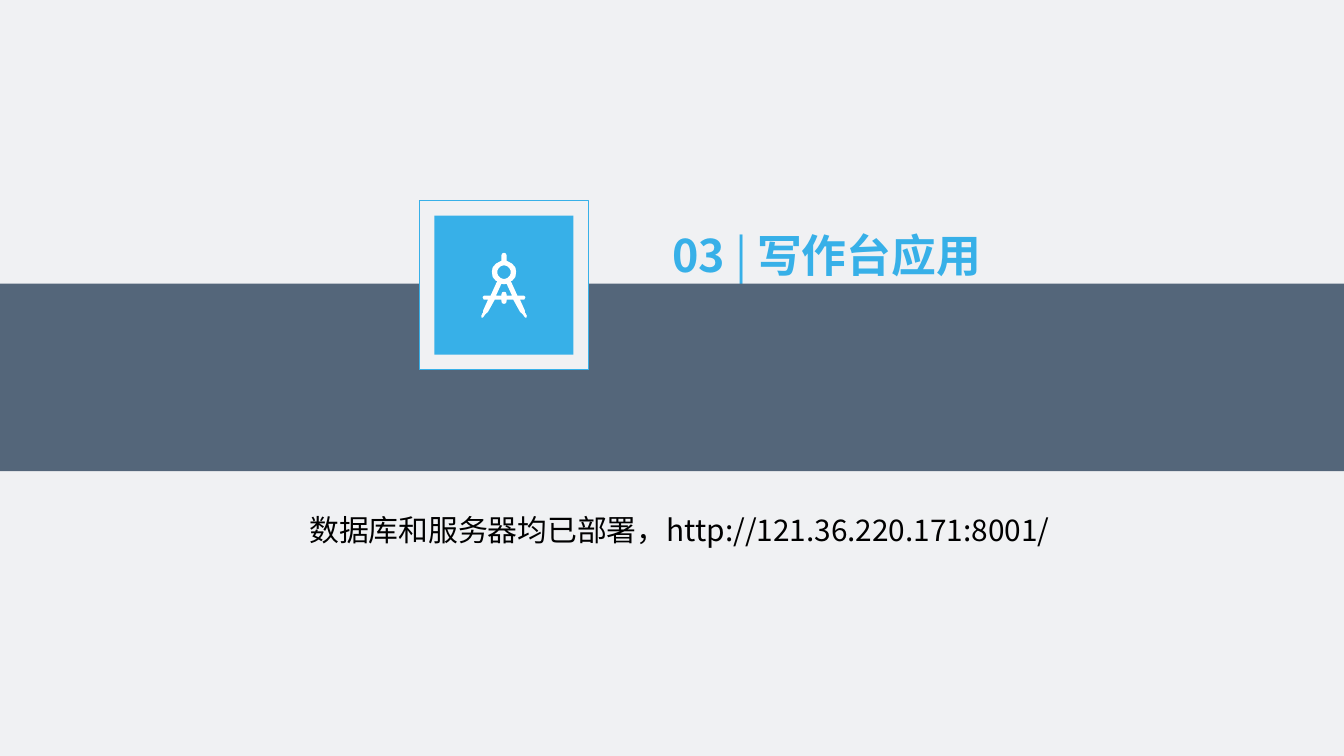
from math import cos, pi, sin

from lxml import etree
from pptx import Presentation
from pptx.dml.color import RGBColor
from pptx.enum.shapes import MSO_SHAPE
from pptx.enum.text import MSO_ANCHOR, MSO_AUTO_SIZE, PP_ALIGN
from pptx.oxml.ns import qn
from pptx.util import Pt

RECT = MSO_SHAPE.RECTANGLE
TOP = MSO_ANCHOR.TOP
GROW = MSO_AUTO_SIZE.SHAPE_TO_FIT_TEXT
LEFT, CENTER = PP_ALIGN.LEFT, PP_ALIGN.CENTER
FONT = "Noto Sans CJK SC"
COLORS = {
    "paper": "F0F1F3",
    "slate": "54667A",
    "sky": "37B0E8",
    "white": "FFFFFF",
    "black": "000000",
}

# Right halves of the compass contours, in tenths of a point from its top
BODY = [
    (0, 0), (10, 4), (14, 14), (14, 43), (43, 58), (61, 79), (65, 101),
    (61, 130), (43, 151), (36, 151), (72, 230), (108, 230), (115, 238),
    (108, 252), (86, 252), (112, 310), (112, 320), (115, 324), (122, 338),
    (119, 349), (112, 346), (101, 331), (94, 324), (86, 317), (50, 252),
    (14, 252), (14, 259), (11, 270), (0, 274),
]
GAP = [(0, 169), (14, 166), (43, 230), (14, 230), (14, 223), (10, 212), (0, 209)]
EYE = [(36 * sin(pi * i / 12), 104 - 36 * cos(pi * i / 12)) for i in range(13)]


def color(name):
    return RGBColor.from_string(COLORS[name])


def paint(shape, fill, line=None):
    shape.shadow.inherit = False
    shape.fill.solid()
    shape.fill.fore_color.rgb = color(fill)
    if line:
        shape.line.color.rgb = color(line)
        shape.line.width = Pt(0.5)
    else:
        shape.line.fill.background()


def add_rect(slide, box, fill, line=None):
    shape = slide.shapes.add_shape(RECT, *map(Pt, box))
    paint(shape, fill, line)


def mirror(half):
    """Close a right half contour with its reflection."""
    return half + [(-x, y) for x, y in half[-2:0:-1]]


def add_icon(slide, left, top):
    body, *holes = map(mirror, (BODY, GAP, EYE))
    pen = slide.shapes.build_freeform(*body[0], scale=Pt(0.1))
    pen.add_line_segments(body[1:])
    for hole in holes:
        pen.move_to(*hole[0])
        pen.add_line_segments(hole[1:])
    icon = pen.convert_to_shape(Pt(left), Pt(top))
    paint(icon, "white")


def style(run, size, tone, bold=False):
    font = run.font
    font.name, font.size, font.bold = FONT, Pt(size), bold
    font.color.rgb = color(tone)
    face = etree.Element(qn("a:ea"), typeface=FONT)
    run._r.rPr.find(qn("a:latin")).addnext(face)


def set_title(slide):
    title = slide.shapes.title
    title.left, title.top, title.width, title.height = map(Pt, (360, 107.5, 221, 38))
    frame = title.text_frame
    frame.margin_left = frame.margin_right = 0
    frame.margin_top = frame.margin_bottom = 0
    frame.vertical_anchor = TOP
    frame.word_wrap = True
    frame.auto_size = GROW
    para = frame.paragraphs[0]
    para.alignment = LEFT
    para.line_spacing = 1.5
    para.space_before = Pt(0)
    for text, bold in (("03 ", True), ("| ", False), ("写作台应用", True)):
        run = para.add_run()
        run.text = text
        style(run, 24, "sky", bold)


def add_note(slide, box, text):
    frame = slide.shapes.add_textbox(*map(Pt, box)).text_frame
    frame.word_wrap = True
    frame.auto_size = GROW
    frame.text = text
    para = frame.paragraphs[0]
    para.alignment = CENTER
    style(para.runs[0], 16, "black")


def main():
    deck = Presentation()
    deck.slide_width, deck.slide_height = Pt(720), Pt(405)
    slide = deck.slides.add_slide(deck.slide_layouts[5])
    slide.background.fill.solid()
    slide.background.fill.fore_color.rgb = color("paper")

    # Band and framed tile
    add_rect(slide, (0, 152, 720, 100.5), "slate")
    add_rect(slide, (224.75, 107.5, 90.5, 90.5), "paper", "sky")
    add_rect(slide, (232.75, 115.5, 74.5, 74.5), "sky")
    add_icon(slide, 270, 135.4)

    # Heading and address
    set_title(slide)
    add_note(slide, (60, 270.5, 608, 26.6),
             "数据库和服务器均已部署，http://121.36.220.171:8001/")

    deck.save("out.pptx")


if __name__ == "__main__":
    main()
